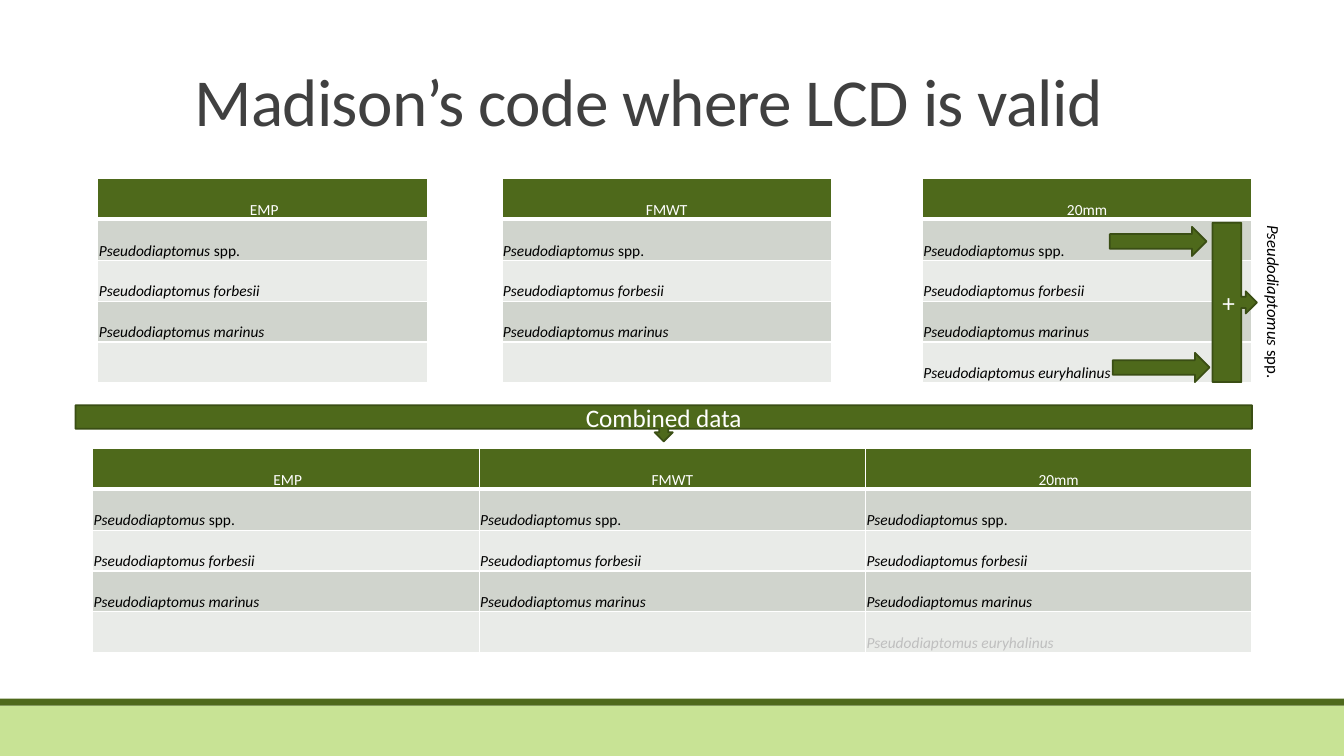
from dataclasses import dataclass

from lxml import etree
from pptx import Presentation
from pptx import util as u
from pptx.dml.color import RGBColor
from pptx.enum import shapes, text
from pptx.oxml.ns import qn


@dataclass(frozen=True)
class Theme:
    font: str = "Calibri"
    green: str = "4E691B"
    outline: str = "3A4E14"
    light_green: str = "C8E395"
    bands: tuple = ("D0D4CD", "E9EBE8")
    white: str = "FFFFFF"
    black: str = "000000"
    faded: str = "BFBFBF"
    title_color: str = "404040"
    title_size: int = 48
    shape_size: int = 18
    label_size: int = 12
    table_size: int = 11


THEME = Theme()
WIDTH, HEIGHT = u.Inches(13.333), u.Inches(7.5)
GENUS = "Pseudodiaptomus"
SPECIES = [f"{GENUS} {name}" for name in ("spp.", "forbesii", "marinus", "euryhalinus")]
SHORT_LIST = SPECIES[:3] + [""]


def box(left, top, width, height):
    return (int(WIDTH * left / 100), int(HEIGHT * top / 100),
            int(WIDTH * width / 100), int(HEIGHT * height / 100))


def format_run(run, size, color, italic=False):
    run.font.name = THEME.font
    run.font.size = u.Pt(size)
    run.font.color.rgb = RGBColor.from_string(color)
    run.font.italic = italic


def write_text(paragraph, content, size, color):
    paragraph.text = content
    format_run(paragraph.runs[0], size, color)


def write_species(paragraph, name, size, color):
    plain_ending = name.endswith(" spp.")
    parts = [(GENUS, True), (" spp.", False)] if plain_ending else [(name, True)]
    for content, italic in parts:
        run = paragraph.add_run()
        run.text = content
        format_run(run, size, color, italic)


def add_shape(slide, kind, area, fill, line=None, content=""):
    shape = slide.shapes.add_shape(kind, *box(*area))
    shape.shadow.inherit = False
    shape.fill.solid()
    shape.fill.fore_color.rgb = RGBColor.from_string(fill)
    if line:
        shape.line.color.rgb = RGBColor.from_string(line)
        shape.line.width = u.Pt(1.25)
    else:
        shape.line.fill.background()
    if content:
        shape.text_frame.vertical_anchor = text.MSO_ANCHOR.MIDDLE
        paragraph = shape.text_frame.paragraphs[0]
        paragraph.alignment = text.PP_ALIGN.CENTER
        write_text(paragraph, content, THEME.shape_size, THEME.white)


def add_text_box(slide, area):
    shape = slide.shapes.add_textbox(*box(*area))
    shape.text_frame.word_wrap = True
    return shape


def add_title(slide, content):
    frame = add_text_box(slide, (13.72, 0, 86.25, 19.2)).text_frame
    frame.vertical_anchor = text.MSO_ANCHOR.BOTTOM
    paragraph = frame.paragraphs[0]
    paragraph.line_spacing = 0.85
    write_text(paragraph, content, THEME.title_size, THEME.title_color)
    paragraph.runs[0].font._element.set("spc", "-50")


def set_borders(cell, row):
    properties = cell._tc.get_or_add_tcPr()
    widths = {"lnL": 1, "lnR": 1, "lnT": 3 if row == 1 else 1, "lnB": 3 if row == 0 else 1}
    for side, width in widths.items():
        line = etree.SubElement(properties, qn(f"a:{side}"), w=str(u.Pt(width)))
        fill = etree.SubElement(line, qn("a:solidFill"))
        etree.SubElement(fill, qn("a:srgbClr"), val=THEME.white)


def fill_cell(cell, row, content, color):
    set_borders(cell, row)
    cell.fill.solid()
    fill = THEME.bands[(row - 1) % 2] if row else THEME.green
    cell.fill.fore_color.rgb = RGBColor.from_string(fill)
    cell.vertical_anchor = text.MSO_ANCHOR.BOTTOM
    cell.margin_left = cell.margin_right = cell.margin_top = u.Inches(0.01)
    cell.margin_bottom = 0
    paragraph = cell.text_frame.paragraphs[0]
    if row == 0:
        paragraph.alignment = text.PP_ALIGN.CENTER
        write_text(paragraph, content, THEME.table_size, THEME.white)
    elif content:
        write_species(paragraph, content, THEME.table_size, color)
    else:
        paragraph.font.size = u.Pt(THEME.table_size)


def add_species_table(slide, area, surveys, last_color=THEME.black):
    row_count = len(SPECIES) + 1
    table = slide.shapes.add_table(row_count, len(surveys), *box(*area)).table
    for column, (survey, species) in enumerate(surveys):
        for row, content in enumerate([survey] + species):
            color = last_color if row == row_count - 1 else THEME.black
            fill_cell(table.cell(row, column), row, content, color)


def add_merged_label(slide):
    label = add_text_box(slide, (84.98, 43.87, 19.58, 4))
    label.rotation = 90
    write_species(label.text_frame.paragraphs[0], SPECIES[0], THEME.label_size, THEME.black)


def main():
    presentation = Presentation()
    presentation.slide_width, presentation.slide_height = WIDTH, HEIGHT
    slide = presentation.slides.add_slide(presentation.slide_layouts[6])
    kinds = shapes.MSO_SHAPE
    surveys = [("\u00a0EMP", SHORT_LIST), ("FMWT", SHORT_LIST), ("20mm", SPECIES)]

    add_shape(slide, kinds.RECTANGLE, (0, 93.33, 100, 6.67), THEME.light_green)
    add_shape(slide, kinds.RECTANGLE, (0, 92.4, 100, 0.93), THEME.green)
    add_title(slide, "Madison\u2019s code where LCD is valid")

    add_species_table(slide, (6.9, 59.33, 86.25, 27), surveys, THEME.faded)
    for left, survey in zip((7.28, 37.35, 68.63), surveys):
        add_species_table(slide, (left, 23.6, 24.52, 27.07), [survey])

    add_shape(slide, kinds.RIGHT_ARROW_CALLOUT, (90.22, 29.47, 3.3, 21.07),
              THEME.green, THEME.outline, "+")
    for left, top in ((82.58, 30), (82.8, 46.67)):
        add_shape(slide, kinds.RIGHT_ARROW, (left, top, 7.2, 3.87), THEME.green, THEME.outline)
    add_merged_label(slide)
    add_shape(slide, kinds.DOWN_ARROW_CALLOUT, (5.62, 53.6, 87.53, 4.8),
              THEME.green, THEME.outline, "Combined data")

    presentation.save("out.pptx")


main()
